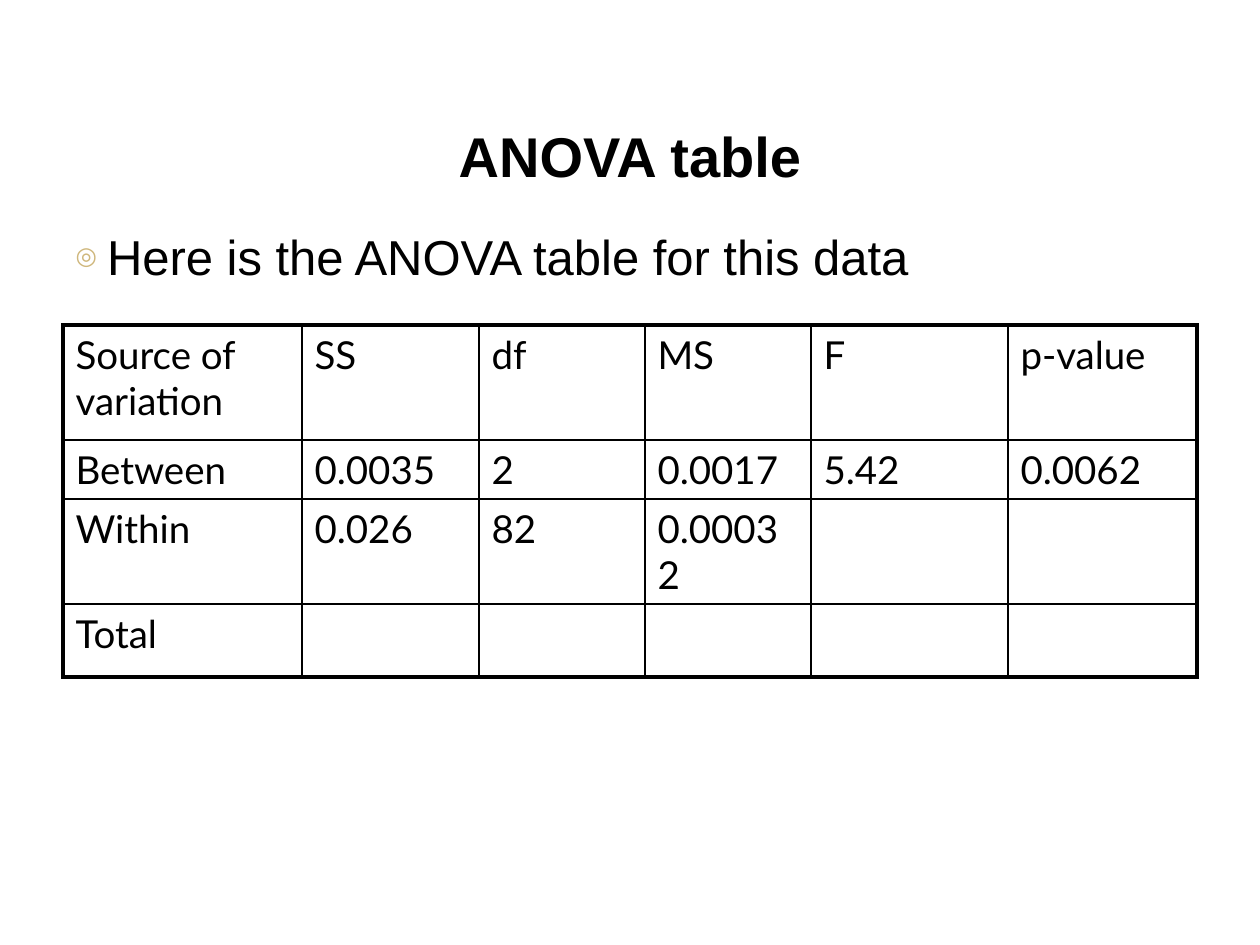
from lxml import etree
from pptx import Presentation
from pptx import util as u
from pptx.dml.color import RGBColor
from pptx.enum import text
from pptx.oxml import ns

PX = 914400 // 126
HUES = {"ink": "000000", "gold": "CFB77C"}


def add(node, tag, **attrs):
    return etree.SubElement(node, ns.qn(tag), attrs)


class Deck:
    """Holds the style and the current slide."""

    def __init__(self, wide, high):
        self.prs = Presentation()
        self.prs.slide_width = u.Inches(wide)
        self.prs.slide_height = u.Inches(high)
        self.slide = self.prs.slides.add_slide(self.prs.slide_layouts[1])

    def place(self, shape, box):
        shape.left, shape.top, shape.width, shape.height = [n * PX for n in box]

    def style(self, para, face, size, bold=False):
        font = para.font
        font.name, font.size, font.bold = face, u.Pt(size), bold
        font.color.rgb = RGBColor.from_string(HUES["ink"])

    def title(self, words, box):
        shape = self.slide.shapes.title
        self.place(shape, box)
        frame = shape.text_frame
        frame.text = words
        frame.vertical_anchor = text.MSO_ANCHOR.BOTTOM
        para = frame.paragraphs[0]
        para.alignment = text.PP_ALIGN.CENTER
        self.style(para, "Arial", 32, True)

    def body(self, lines, box):
        shape = self.slide.placeholders[1]
        self.place(shape, box)
        frame = shape.text_frame
        frame.text = "\n".join(lines)
        for para in frame.paragraphs:
            para.space_before = u.Pt(0)
            props = para._p.get_or_add_pPr()
            props.set("marL", str(u.Inches(0.25)))
            props.set("indent", str(-u.Inches(0.25)))
            add(add(props, "a:buClr"), "a:srgbClr", val=HUES["gold"])
            add(props, "a:buSzPct", val="50000")
            add(props, "a:buChar", char="◎")
            self.style(para, "Arial", 28)

    def border(self, cell, side, width):
        line = add(cell._tc.get_or_add_tcPr(), f"a:ln{side}", w=str(u.Pt(width)))
        add(add(line, "a:solidFill"), "a:srgbClr", val=HUES["ink"])

    def table(self, rows, spot, wides, highs):
        box = [n * PX for n in (*spot, sum(wides), sum(highs))]
        grid = self.slide.shapes.add_table(len(highs), len(wides), *box).table
        grid.first_row = grid.horz_banding = False
        for col, wide in zip(grid.columns, wides):
            col.width = wide * PX
        for row, high in zip(grid.rows, highs):
            row.height = high * PX
        for r, row in enumerate(rows):
            for c, words in enumerate(row):
                cell = grid.cell(r, c)
                outer = {"L": c == 0, "R": c == len(wides) - 1,
                         "T": r == 0, "B": r == len(highs) - 1}
                for side, edge in outer.items():
                    self.border(cell, side, 2.25 if edge else 1)
                cell.fill.background()
                if words:
                    cell.text = words
                    self.style(cell.text_frame.paragraphs[0], "Lato", 22)

    def save(self):
        self.prs.save("out.pptx")


def main():
    deck = Deck(10, 7.5)
    deck.title("ANOVA table", (63, 38, 1134, 157))
    deck.body(["Here is the ANOVA table for this data"], (63, 220, 1155, 624))
    rows = [
        ["Source of variation", "SS", "df", "MS", "F", "p-value"],
        ["Between", "0.0035", "2", "0.0017", "5.42", "0.0062"],
        ["Within", "0.026", "82", "0.00032", "", ""],
        ["Total", "", "", "", "", ""],
    ]
    deck.table(rows, (63, 325), (239, 177, 166, 166, 197, 189), (115, 59, 67, 73))
    deck.save()


if __name__ == "__main__":
    main()
